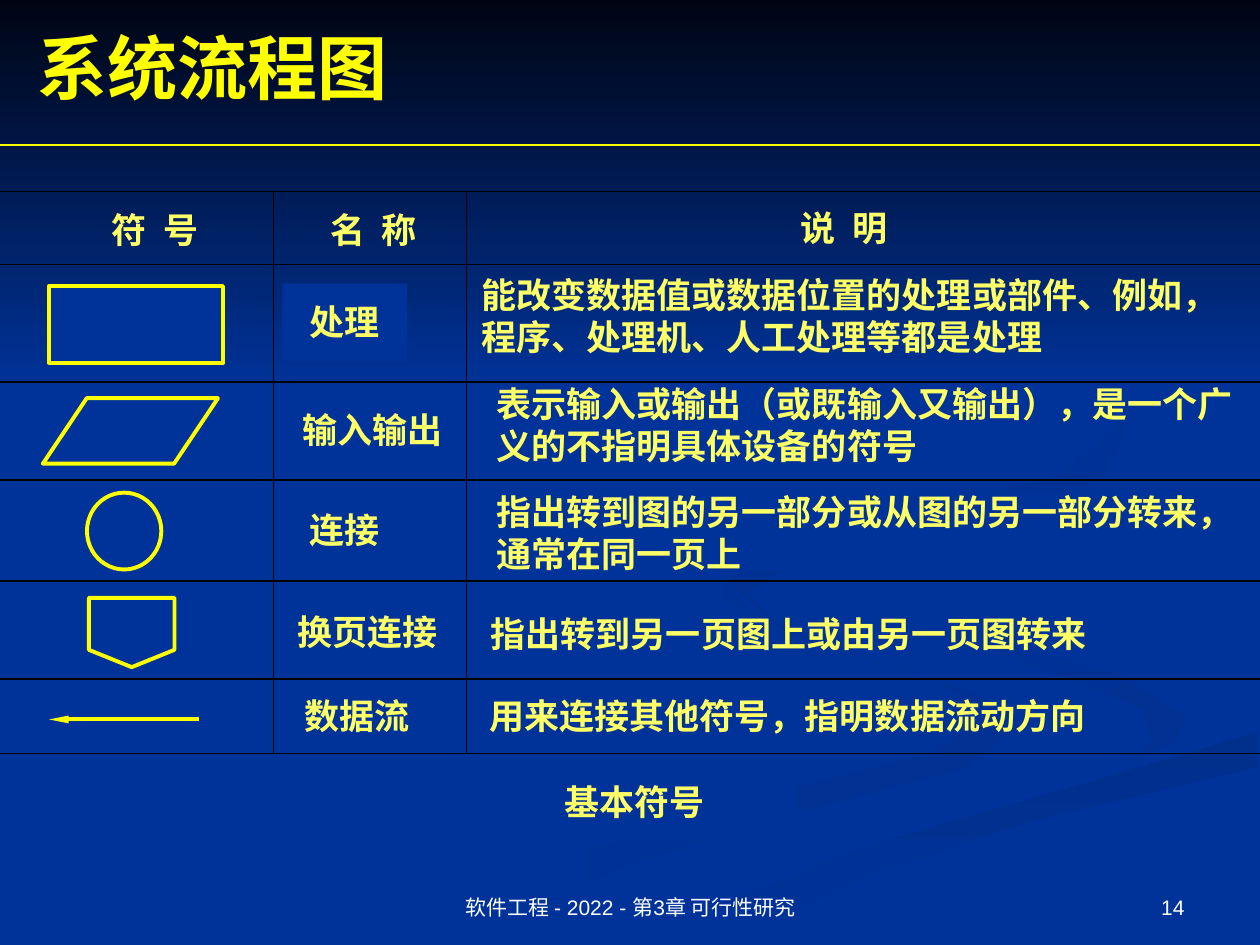
from dataclasses import dataclass
from typing import Optional

from lxml.etree import SubElement
from pptx import Presentation
from pptx.dml.color import RGBColor
from pptx.enum.shapes import MSO_CONNECTOR, MSO_SHAPE
from pptx.enum.text import MSO_ANCHOR, PP_ALIGN
from pptx.oxml.ns import qn
from pptx.util import Inches, Pt

COLORS = {
    "blue": "003399", "night": "000514", "yellow": "FFFF00", "pale": "FFFF66",
    "white": "FFFFFF", "black": "000000", "tail": "003193", "band": "002F8C",
    "ribbon": "002F8E",
}
ASIAN_FONT = "Noto Sans CJK SC"
NAME_LEFT = 2.24
TEXT_LEFT = 3.75


@dataclass
class Swirl:
    points: list
    start: str
    end: str
    angle: int = 0


@dataclass
class Label:
    text: str
    left: float
    top: float
    width: float
    height: float = 0.61
    filled: bool = False
    size: int = 20
    font: str = "Times New Roman"
    color: str = "pale"
    bold: bool = True
    align: PP_ALIGN = PP_ALIGN.CENTER
    anchor: MSO_ANCHOR = MSO_ANCHOR.MIDDLE
    wrap: bool = False
    inset: float = 0.1
    leading: Optional[int] = None
    tracking: int = 0


@dataclass
class Symbol:
    kind: MSO_SHAPE
    left: float
    top: float
    width: float
    height: float
    adjustment: Optional[float] = None
    rotation: int = 0


@dataclass
class Rule:
    x1: float
    y1: float
    x2: float
    y2: float
    width: float = 1
    color: str = "black"
    arrow: bool = False


SWIRLS = [
    Swirl([(7.81, 5.53), (6.82, 5.19), (5.94, 4.85), (5.75, 4.59), (5.72, 4.76), (6.31, 5.05),
           (7.41, 5.39), (7.86, 5.66), (7.39, 5.98), (5.79, 6.39), (4.17, 6.9), (3, 7.49),
           (3.61, 7.49), (4.99, 6.87), (6.23, 6.47), (7.69, 6.09), (8, 5.81)], "blue", "tail"),
    Swirl([(5.03, 7.49), (5.71, 7.49), (6.95, 6.92), (8.21, 6.51), (9.98, 6.09), (9.98, 5.81),
           (8.67, 6.2), (6.96, 6.69), (5.69, 7.19)], "band", "blue", 90),
    Swirl([(9.43, 5.7), (8.88, 5.35), (7.74, 5.03), (7.24, 4.64), (7.46, 5), (8.38, 5.36),
           (9.07, 5.62), (9.14, 5.89), (8.94, 6.05), (9.32, 5.89)], "blue", "tail", 45),
    Swirl([(8.25, 4.02), (8.76, 3.78), (8.94, 3.44), (8.64, 2.91), (7.62, 2.33), (8.46, 2.79),
           (8.89, 3.35), (8.42, 3.78), (6.25, 4.26), (5.77, 4.62), (6.22, 5), (5.93, 4.7),
           (6.49, 4.36)], "ribbon", "blue", 45),
    Swirl([(0, 0), (0, 3.08), (10, 3.08), (10, 0)], "night", "blue", 90),
]
ROW_LINES = [1.52, 2.1, 3.03, 3.81, 4.61, 5.39, 5.98]
RULES = [
    Rule(0, 1.15, 10, 1.15, 0.75, "yellow"),
    *[Rule(0, y, 10.47, y) for y in ROW_LINES],
    *[Rule(x, ROW_LINES[0], x, ROW_LINES[-1], 0.75) for x in (2.17, 3.7)],
    Rule(1.58, 5.71, 0.39, 5.71, 2.25, "yellow", True),
]
SYMBOLS = [
    Symbol(MSO_SHAPE.RECTANGLE, 0.39, 2.27, 1.38, 0.61),
    Symbol(MSO_SHAPE.PARALLELOGRAM, 0.34, 3.16, 1.39, 0.52, 0.67),
    Symbol(MSO_SHAPE.OVAL, 0.69, 3.91, 0.59, 0.61),
    Symbol(MSO_SHAPE.PENTAGON, 0.77, 4.68, 0.55, 0.68, 0.25, 90),
]
WRAPPED = dict(align=PP_ALIGN.LEFT, leading=24, wrap=True, inset=0.19)
FOOTER = dict(top=6.83, height=0.52, size=12, font="Arial", color="white", bold=False,
              anchor=MSO_ANCHOR.BOTTOM, wrap=True)
LABELS = [
    Label("系统流程图", 0.2, 0.14, 9, 0.77, size=40, color="yellow", align=PP_ALIGN.LEFT, wrap=True),
    *[Label(text, left, top, width, tracking=250) for text, left, top, width in [
        ("符 号", 0.54, 1.52, 1.38), ("名 称", 2.37, 1.52, 1.19), ("说 明", 6.01, 1.5, 1.38)]],
    *[Label(text, NAME_LEFT, top, width, filled=True) for text, top, width in [
        ("处理", 2.25, 0.99), ("输入输出", 3.1, 1.43), ("连接", 3.9, 0.99), ("换页连接", 4.71, 1.35)]],
    Label("数据流", NAME_LEFT, 5.37, 1.19),
    Label("能改变数据值或数据位置的处理或部件、例如，\n程序、处理机、人工处理等都是处理",
          3.67, 2, 6.17, 1.01, **dict(WRAPPED, inset=0.15)),
    Label("表示输入或输出（或既输入又输出），是一个广义的不指明具体设备的符号",
          TEXT_LEFT, 3, 6.25, 0.74, **WRAPPED),
    Label("指出转到图的另一部分或从图的另一部分转来，通常在同一页上",
          TEXT_LEFT, 3.92, 6.25, filled=True, **WRAPPED),
    Label("指出转到另一页图上或由另一页图转来", 3.77, 4.72, 4.98),
    Label("用来连接其他符号，指明数据流动方向", TEXT_LEFT, 5.37, 5),
    Label("基本符号", TEXT_LEFT, 6.06, 2.57, filled=True, font=ASIAN_FONT),
    Label("软件工程 - 2022 - 第3章 可行性研究", left=3.42, width=3.17, **FOOTER),
    Label("14", left=7.17, width=2.33, align=PP_ALIGN.RIGHT, **FOOTER),
]


def rgb(name: str) -> RGBColor:
    return RGBColor.from_string(COLORS[name])


def paint(shape, name: str) -> None:
    shape.shadow.inherit = False
    shape.fill.solid()
    shape.fill.fore_color.rgb = rgb(name)
    shape.line.fill.background()


def draw_swirl(slide, swirl: Swirl) -> None:
    points = [(Inches(x), Inches(y)) for x, y in swirl.points]
    builder = slide.shapes.build_freeform(*points[0], scale=1.0)
    builder.add_line_segments(points[1:], close=True)
    shape = builder.convert_to_shape()
    paint(shape, swirl.start)
    shape.fill.gradient()
    shape.fill.gradient_angle = -swirl.angle % 360
    for stop, name, position in zip(shape.fill.gradient_stops, (swirl.start, swirl.end), (0, 1)):
        stop.color.rgb = rgb(name)
        stop.position = position


def draw_rule(slide, rule: Rule) -> None:
    ends = [Inches(value) for value in (rule.x1, rule.y1, rule.x2, rule.y2)]
    connector = slide.shapes.add_connector(MSO_CONNECTOR.STRAIGHT, *ends)
    connector.line.color.rgb = rgb(rule.color)
    connector.line.width = Pt(rule.width)
    if rule.arrow:
        line = connector._element.spPr.find(qn("a:ln"))
        SubElement(line, qn("a:tailEnd"), type="triangle", w="sm", len="lg")
    SubElement(connector._element.spPr, qn("a:effectLst"))


def draw_symbol(slide, symbol: Symbol) -> None:
    frame = [Inches(value) for value in (symbol.left, symbol.top, symbol.width, symbol.height)]
    shape = slide.shapes.add_shape(symbol.kind, *frame)
    paint(shape, "blue")
    shape.line.color.rgb = rgb("yellow")
    shape.line.width = Pt(2.25)
    shape.rotation = symbol.rotation
    if symbol.adjustment is not None:
        shape.adjustments[0] = symbol.adjustment


def draw_label(slide, label: Label) -> None:
    frame = [Inches(value) for value in (label.left, label.top, label.width, label.height)]
    if label.filled:
        shape = slide.shapes.add_shape(MSO_SHAPE.RECTANGLE, *frame)
        paint(shape, "blue")
    else:
        shape = slide.shapes.add_textbox(*frame)
    text_frame = shape.text_frame
    text_frame.text = label.text
    text_frame.word_wrap = label.wrap
    text_frame.vertical_anchor = label.anchor
    text_frame.margin_left = text_frame.margin_right = Inches(label.inset)
    for paragraph in text_frame.paragraphs:
        paragraph.alignment = label.align
        if label.leading:
            paragraph.line_spacing = Pt(label.leading)
        for run in paragraph.runs:
            run.font.size = Pt(label.size)
            run.font.bold = label.bold
            run.font.color.rgb = rgb(label.color)
            run.font.name = label.font
            properties = run._r.get_or_add_rPr()
            SubElement(properties, qn("a:ea"), typeface=ASIAN_FONT)
            if label.tracking:
                properties.set("spc", str(label.tracking))


def main() -> None:
    presentation = Presentation()
    presentation.slide_width, presentation.slide_height = Inches(10), Inches(7.5)
    slide = presentation.slides.add_slide(presentation.slide_layouts[6])
    slide.background.fill.solid()
    slide.background.fill.fore_color.rgb = rgb("blue")
    for draw, items in ((draw_swirl, SWIRLS), (draw_rule, RULES),
                        (draw_symbol, SYMBOLS), (draw_label, LABELS)):
        for item in items:
            draw(slide, item)
    presentation.save("out.pptx")


if __name__ == "__main__":
    main()
